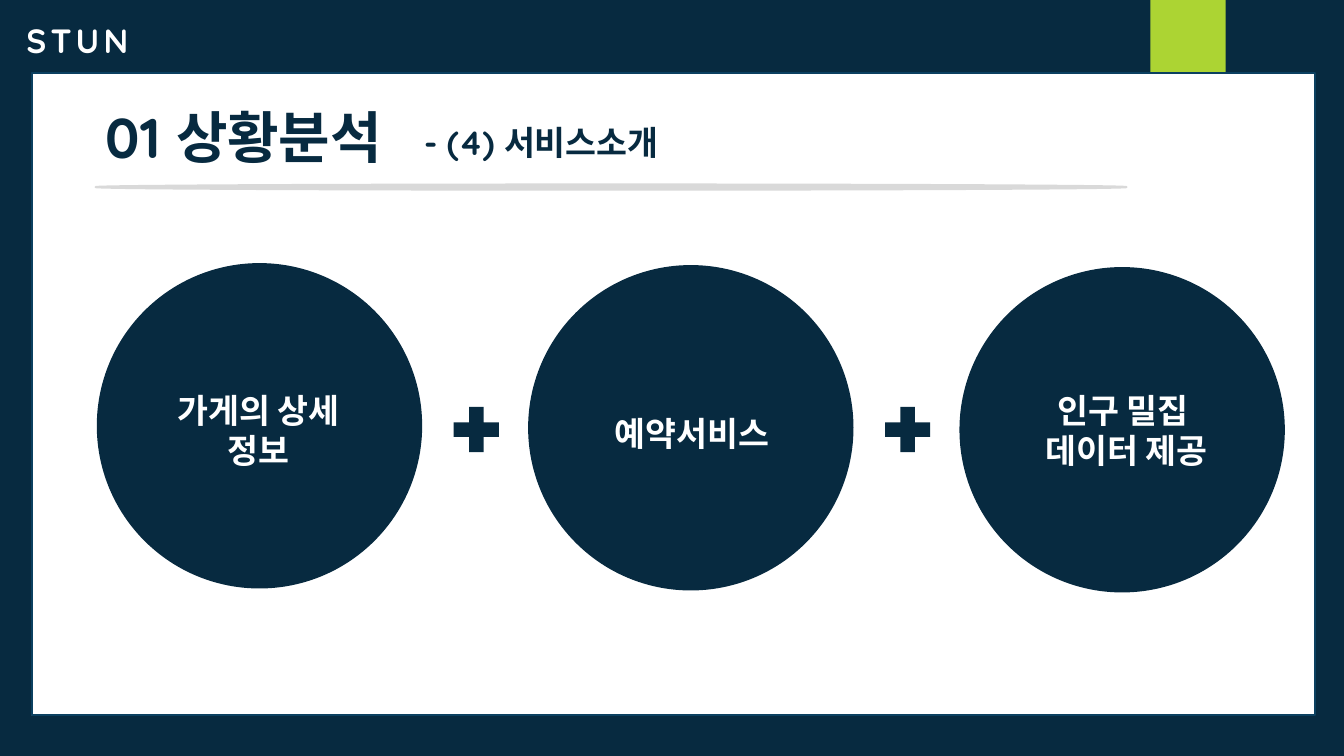
from pptx import Presentation
from pptx.dml.color import RGBColor
from pptx.enum.shapes import MSO_SHAPE
from pptx.enum.text import MSO_ANCHOR, MSO_AUTO_SIZE, PP_ALIGN
from pptx.util import Cm, Pt

COLOURS = {
    "navy": "072A40",
    "border": "0B4060",
    "lime": "ACD433",
    "grey": "D9D9D9",
    "white": "FFFFFF",
}


class SlideBuilder:
    heading_font = "Quicksand"
    label_font = "Arial"

    def __init__(self, page):
        self.page = page
        background = page.background.fill
        background.solid()
        background.fore_color.rgb = self.colour("navy")

    def colour(self, name):
        return RGBColor.from_string(COLOURS[name])

    def shape(self, kind, left, top, width, height, fill, line=None):
        shape = self.page.shapes.add_shape(kind, Cm(left), Cm(top), Cm(width), Cm(height))
        shape.shadow.inherit = False
        shape.fill.solid()
        shape.fill.fore_color.rgb = self.colour(fill)
        if line:
            shape.line.color.rgb = self.colour(line)
            shape.line.width = Pt(1.5)
        else:
            shape.line.fill.background()
        return shape

    def fill_text(self, box, lines, font, colour, size=24, align=PP_ALIGN.LEFT, spacing=0):
        frame = box.text_frame
        frame.word_wrap = True
        frame.auto_size = MSO_AUTO_SIZE.NONE
        for index, line in enumerate(lines):
            para = frame.add_paragraph() if index else frame.paragraphs[0]
            para.alignment = align
            para.font.name = font
            para.font.size = Pt(size)
            para.font.bold = True
            para.font.color.rgb = self.colour(colour)
            span = para.add_run()
            span.text = line
            if spacing:
                span._r.get_or_add_rPr().set("spc", str(spacing * 100))

    def text(self, left, top, width, height, lines, font, colour, align=PP_ALIGN.LEFT):
        box = self.page.shapes.add_textbox(Cm(left), Cm(top), Cm(width), Cm(height))
        self.fill_text(box, lines, font, colour, align=align)

    def title(self, left, top, width, height, text):
        title = self.page.shapes.title
        title.left, title.top = Cm(left), Cm(top)
        title.width, title.height = Cm(width), Cm(height)
        title.text_frame.vertical_anchor = MSO_ANCHOR.TOP
        self.fill_text(title, [text], self.heading_font, "navy", size=40)
        self.page.shapes._spTree.append(title._element)

    def badge(self, left, top, width, height, text):
        badge = self.shape(MSO_SHAPE.RECTANGLE, left, top, width, height, "navy")
        self.fill_text(badge, [text], self.heading_font, "white", align=PP_ALIGN.CENTER, spacing=3)

    def service(self, left, top, text_left, text_width, lines, rows):
        diameter, text_middle, row_height = 8.2, 10.85, 1.16
        self.shape(MSO_SHAPE.OVAL, left, top, diameter, diameter, "navy")
        height = rows * row_height
        self.text(text_left, text_middle - height / 2, text_width, height,
                  lines, self.label_font, "white", PP_ALIGN.CENTER)


def main():
    deck = Presentation()
    deck.slide_width, deck.slide_height = Cm(33.87), Cm(19.05)
    builder = SlideBuilder(deck.slides.add_slide(deck.slide_layouts[5]))

    builder.shape(MSO_SHAPE.RECTANGLE, 28.99, 0, 1.9, 3.18, "lime")
    builder.shape(MSO_SHAPE.RECTANGLE, 0.8, 1.85, 32.33, 16.18, "white", "border")
    builder.badge(0.4, 0.37, 3.1, 1.28, "STUN")
    builder.shape(MSO_SHAPE.OVAL, 2.41, 4.65, 25.98, 0.13, "grey", "grey")
    builder.title(2.41, 2.46, 8.53, 1.97, "01 상황분석")
    builder.text(10.44, 2.94, 7.09, 1.28, ["- (4) 서비스소개"], builder.heading_font, "navy")

    services = [
        (4.22, 4.6, ["가게의 상세 정보"], 2),
        (14.99, 4.9, ["예약서비스"], 1),
        (25.83, 5.13, ["인구 밀집 ", "데이터 제공"], 2),
    ]
    pitch = 10.87
    for index, service in enumerate(services):
        builder.service(2.44 + index * pitch, 6.63 + index * 0.05, *service)
    for index in range(len(services) - 1):
        builder.shape(MSO_SHAPE.MATH_PLUS, 11.23 + index * pitch, 10.05, 1.55, 1.55, "navy")

    deck.save("out.pptx")


if __name__ == "__main__":
    main()
